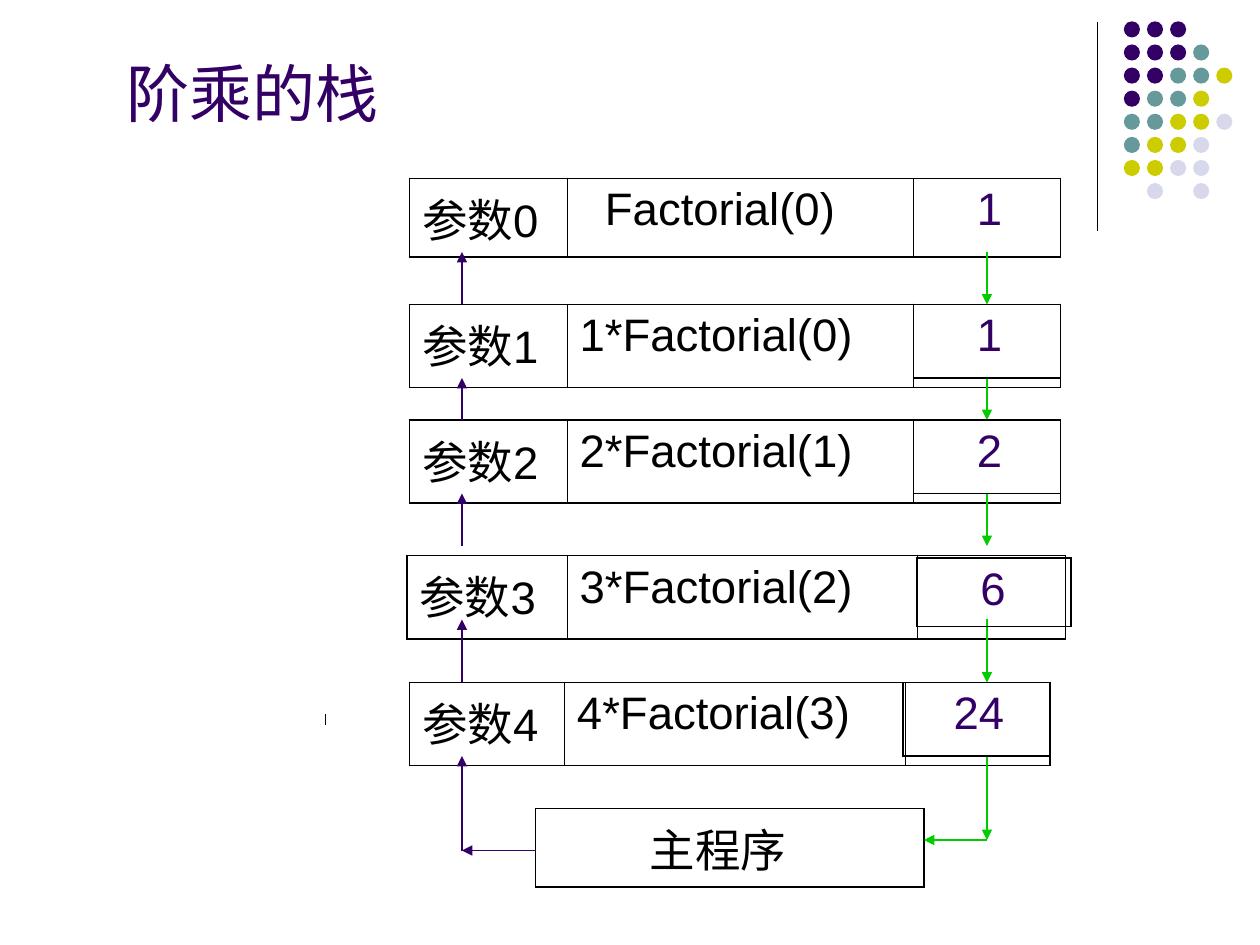
from lxml import etree
from pptx import Presentation
from pptx import util as u
from pptx.dml.color import RGBColor
from pptx.enum import shapes, text
from pptx.oxml import ns

# Content (lengths in points)
TITLE = "阶乘的栈"
MAIN = "主程序"
# label, call, call indent, value in the frame's own last cell, left, top, column widths, height
FRAMES = [
    ("参数0", "Factorial(0)", 14.5, "1", 234, 102, (90, 198, 84), 45),
    ("参数1", "1*Factorial(0)", 0, "", 234, 174, (90, 198, 84), 47.5),
    ("参数2", "2*Factorial(1)", 0, "", 234, 240, (90, 198, 84), 47.5),
    ("参数3", "3*Factorial(2)", 0, "", 232.5, 317.5, (91.5, 200, 85), 47.5),
    ("参数4", "4*Factorial(3)", 0, "", 234, 390, (88.5, 195, 82.5), 47.5),
]
# value, indent, left, top, width, height
RESULTS = [
    ("1", 29, 522, 174, 84, 42),
    ("2", 29, 522, 240, 84, 42),
    ("6", 29, 524, 319, 88, 39),
    ("24", 21.7, 516, 390, 84, 42),
]
# Gaps between frames, top and bottom
GAPS = [(144, 174), (216, 240), (282, 312), (354, 390)]
CALL_X, RETURN_X = 264, 564
DOTS = ["PPP..", "PPPT.", "PPTTY", "PTTY.", "TTYYL", "TYYL.", "YYLL.", ".L.L."]

THEME = {
    "font": "Arial", "title": 36, "body": 26, "inset": 7.2,
    "ink": "000000", "purple": "330066", "green": "00CC00",
    "outer": 1.08, "inner": 0.45,
    "dots": {"P": "330066", "T": "669999", "Y": "CCCC00", "L": "D8D8EC"},
}

prs = Presentation()
prs.slide_width, prs.slide_height = u.Pt(720), u.Pt(540)
s = prs.slides.add_slide(prs.slide_layouts[6])


def rgb(name):
    return RGBColor.from_string(THEME.get(name, name))


def write(tf, words, size, color):
    tf.text = words
    f = tf.paragraphs[0].runs[0].font
    f.name, f.size = THEME["font"], u.Pt(THEME[size])
    f.color.rgb = rgb(color)


def line(x1, y1, x2, y2, color, width=1, arrow=True):
    c = s.shapes.add_connector(shapes.MSO_CONNECTOR.STRAIGHT,
                               u.Pt(x1), u.Pt(y1), u.Pt(x2), u.Pt(y2))
    c.line.color.rgb = rgb(color)
    c.line.width = u.Pt(width)
    if arrow:
        etree.SubElement(c.line._get_or_add_ln(), ns.qn("a:tailEnd"), type="triangle")
    etree.SubElement(c._element.spPr, ns.qn("a:effectLst"))


def border(cell, sides):
    tcPr = cell._tc.get_or_add_tcPr()
    for side, width in sides.items():
        ln = etree.SubElement(tcPr, ns.qn("a:ln" + side), w=str(u.Pt(width)))
        fill = etree.SubElement(ln, ns.qn("a:solidFill"))
        etree.SubElement(fill, ns.qn("a:srgbClr"), val=THEME["ink"])


def row_table(cells, x, y, widths, h):
    """One-row table; each cell is (words, indent, colour)."""
    t = s.shapes.add_table(1, len(cells), u.Pt(x), u.Pt(y),
                           u.Pt(sum(widths)), u.Pt(h)).table
    t.first_row = t.horz_banding = False
    outer, inner = THEME["outer"], THEME["inner"]
    for i, ((words, indent, color), w) in enumerate(zip(cells, widths)):
        t.columns[i].width = u.Pt(w)
        cell = t.cell(0, i)
        border(cell, {"L": inner if i else outer,
                      "R": inner if i < len(cells) - 1 else outer,
                      "T": outer, "B": outer})
        cell.fill.background()
        cell.margin_left = u.Pt(THEME["inset"] + indent)
        if words:
            write(cell.text_frame, words, "body", color)


# Corner decoration
line(627, 12.5, 627, 132, "ink", 0.75, arrow=False)
for j, dots in enumerate(DOTS):
    for i, key in enumerate(dots):
        if key == ".":
            continue
        sp = s.shapes.add_shape(shapes.MSO_SHAPE.OVAL, u.Pt(642.2 + 13.2 * i),
                                u.Pt(12.2 + 13.2 * j), u.Pt(9.2), u.Pt(9.2))
        sp.shadow.inherit = False
        sp.fill.solid()
        sp.fill.fore_color.rgb = rgb(THEME["dots"][key])
        sp.line.fill.background()

# Title
tf = s.shapes.add_textbox(u.Pt(65), u.Pt(26), u.Pt(530), u.Pt(52)).text_frame
tf.word_wrap = True
tf.vertical_anchor = text.MSO_ANCHOR.BOTTOM
write(tf, TITLE, "title", "purple")

# Main program and stack frames, bottom up
row_table([(MAIN, 58, "ink")], 306, 462, [222], 45)
line(186, 408, 186, 414, "ink", arrow=False)
for label, call, indent, value, x, y, widths, h in reversed(FRAMES):
    row_table([(label, 0, "ink"), (call, indent, "ink"), (value, 29, "purple")],
              x, y, widths, h)

# Calls go up, results come down
for top, bottom in GAPS:
    line(RETURN_X, top, RETURN_X, bottom, "green")
    line(CALL_X, bottom, CALL_X, top, "purple")
line(RETURN_X, 432, RETURN_X, 480, "green")
line(RETURN_X, 480, 528, 480, "green")
line(306, 486, CALL_X, 486, "purple")
line(CALL_X, 486, CALL_X, 432, "purple")

# Returned values
for value, indent, x, y, w, h in RESULTS:
    row_table([(value, indent, "purple")], x, y, [w], h)

prs.save("out.pptx")
